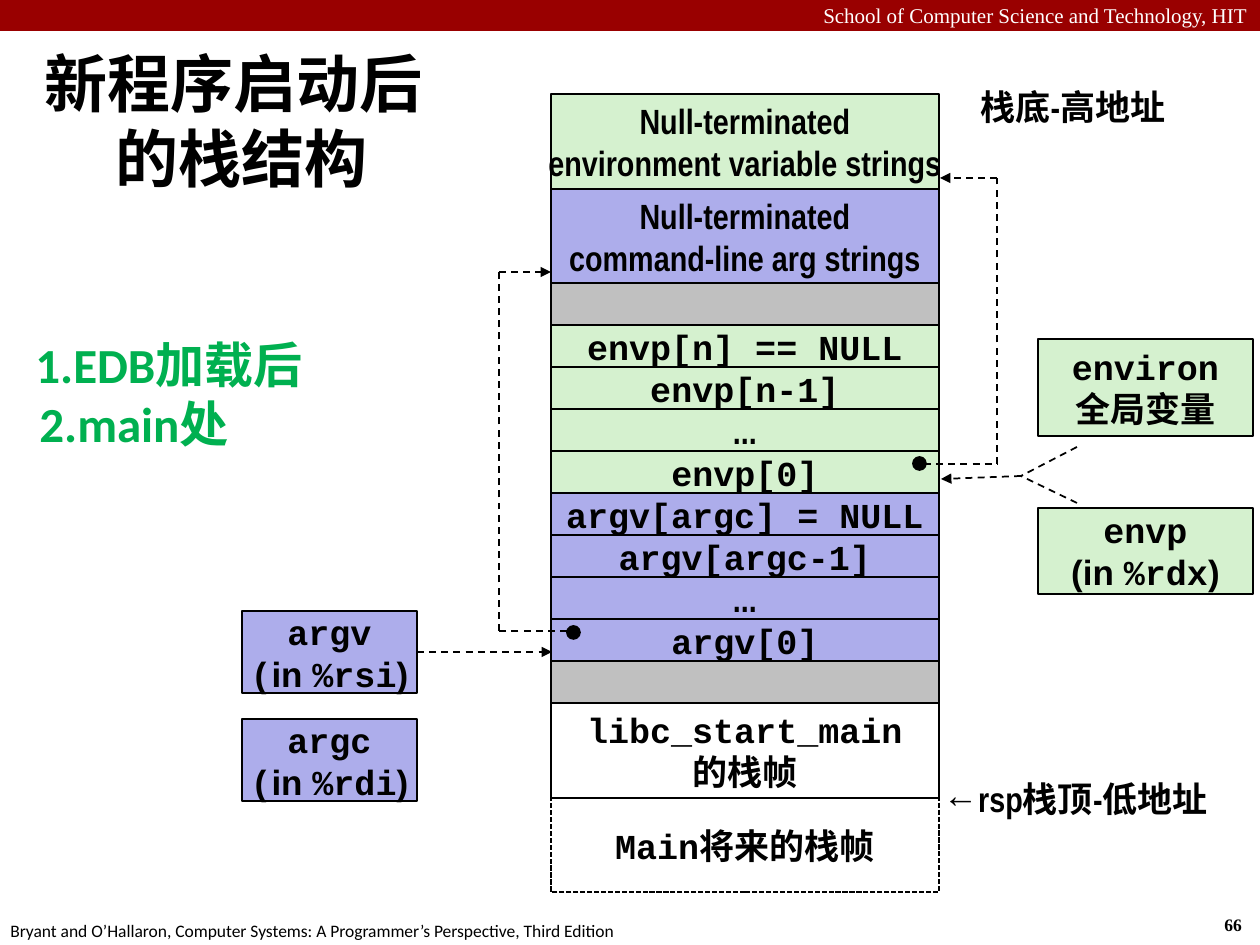
"""Build a slide that shows the stack layout of a newly started program."""
from lxml import etree
from pptx import Presentation, util as u
from pptx.dml.color import RGBColor
from pptx.enum import dml, shapes, text
from pptx.oxml.ns import qn

PX = 914400 / 126
THEME = {
    "red": "990000", "white": "FFFFFF", "black": "000000", "green": "D5F1CF",
    "violet": "ADADEB", "gray": "C0C0C0", "note": "00B050",
    "title": 36, "note_size": 28, "label": 20, "header": 12, "footer": 10,
}
MONO, SANS, NARROW, BODY, SERIF = (
    "Courier New", "Arial", "Arial Narrow", "Calibri", "Times New Roman")
CENTER, LEFT, RIGHT = text.PP_ALIGN.CENTER, text.PP_ALIGN.LEFT, text.PP_ALIGN.RIGHT

prs = Presentation()
prs.slide_width, prs.slide_height = u.Emu(round(1260 * PX)), u.Emu(round(945 * PX))
s = prs.slides.add_slide(prs.slide_layouts[5])


def write(sp, lines, size="label", color="black", bold=True, align=CENTER,
          wrap=False, anchor=text.MSO_ANCHOR.MIDDLE):
    """Fill a shape with paragraphs given as lists of (text, font) runs."""
    tf = sp.text_frame
    tf.auto_size, tf.word_wrap, tf.vertical_anchor = text.MSO_AUTO_SIZE.NONE, wrap, anchor
    for i, line in enumerate(lines):
        p = tf.add_paragraph() if i else tf.paragraphs[0]
        p.alignment = align
        p.text = line[0][0]
        for words, _ in line[1:]:
            p.add_run().text = words
        fonts = [line[0][1]] * (len(p.runs) - len(line)) + [font for _, font in line]
        for r, font in zip(p.runs, fonts):
            r.font.name, r.font.size, r.font.bold = font, u.Pt(THEME[size]), bold
            r.font.color.rgb = RGBColor.from_string(THEME[color])


def box(x, y, w, h, fill, lines=(), kind=shapes.MSO_SHAPE.RECTANGLE, line="black", wrap=False):
    """Add a filled, outlined shape with centred text."""
    sp = s.shapes.add_shape(kind, *(u.Emu(round(v * PX)) for v in (x, y, w, h)))
    sp.shadow.inherit = False
    if fill:
        sp.fill.solid()
        sp.fill.fore_color.rgb = RGBColor.from_string(THEME[fill])
    else:
        sp.fill.background()
    sp.line.color.rgb = RGBColor.from_string(THEME[line])
    sp.line.width = u.Pt(1)
    write(sp, lines, wrap=wrap)
    return sp


header = box(0, 0, 1260, 31, "red")
header.line.fill.background()

title = s.shapes.title
title.left, title.top, title.width, title.height = (
    u.Emu(round(v * PX)) for v in (9, 40, 450, 160))
write(title, [[("新程序启动后的栈结构", BODY)]], "title", wrap=True)

TOP, MIDDLE = text.MSO_ANCHOR.TOP, text.MSO_ANCHOR.MIDDLE
labels = [
    (0, -4, 1260, 38, "School of Computer Science and Technology, HIT", SERIF,
     "header", "white", False, RIGHT, True, TOP),
    (1212, 908, 47, 34, "66", SERIF, "footer", "black", True, LEFT, False, TOP),
    (-2, 914, 640, 34,
     "Bryant and O’Hallaron, Computer Systems: A Programmer’s Perspective, Third Edition",
     BODY, "footer", "black", False, LEFT, False, TOP),
    (951, 79, 244, 55, "栈底-高地址", NARROW, "label", "black", True, CENTER, True, MIDDLE),
    (930, 750, 291, 98, "←rsp栈顶-低地址", NARROW, "label", "black", True, CENTER, True, MIDDLE),
    (11, 323, 347, 141, "1.EDB加载后\v2.main处", BODY,
     "note_size", "note", True, LEFT, True, MIDDLE),
]
for x, y, w, h, words, font, *style in labels:
    label = s.shapes.add_textbox(*(u.Emu(round(v * PX)) for v in (x, y, w, h)))
    write(label, [[(words, font)]], *style)

for sp, margin, indent in ((title, 16, -16), (label, 16, -4)):
    pPr = sp.text_frame.paragraphs[0]._p.get_or_add_pPr()
    pPr.set("marL", str(round(margin * PX)))
    pPr.set("indent", str(round(indent * PX)))

stack = [
    (95, "green", NARROW, ["Null-terminated", "environment variable strings"]),
    (94, "violet", NARROW, ["Null-terminated", "command-line arg strings"]),
    (42, "gray", MONO, []),
    (42, "green", MONO, ["envp[n] == NULL"]),
    (42, "green", MONO, ["envp[n-1]"]),
    (42, "green", NARROW, ["..."]),
    (42, "green", MONO, ["envp[0]"]),
    (42, "violet", MONO, ["argv[argc] = NULL"]),
    (42, "violet", MONO, ["argv[argc-1]"]),
    (42, "violet", NARROW, ["..."]),
    (42, "violet", MONO, ["argv[0]"]),
    (42, "gray", MONO, []),
    (95, None, MONO, ["libc_start_main", "的栈帧"]),
    (94, None, MONO, ["Main将来的栈帧"]),
]
y = 94
for h, fill, font, lines in stack:
    frame = box(551, y, 388, h, fill, [[(words, font)] for words in lines])
    y += h
frame.line.dash_style = dml.MSO_LINE.SQUARE_DOT

box(1038, 339, 215, 97, "green", [[("environ", MONO)], [("全局变量", SANS)]], wrap=True)
box(1038, 508, 215, 86, "green",
    [[("envp", MONO)], [("(in ", SANS), ("%rdx", MONO), (")", SANS)]], wrap=True)
registers = {}
for name, register, y in (("argv", "%rsi", 611), ("argc", "%rdi", 719)):
    registers[name] = box(242, y, 175, 82, "violet", [
        [(name, MONO)], [("(", MONO), ("in ", SANS), (register, MONO), (")", SANS)]])

for x, y in ((567, 626), (913, 457)):
    box(x, y, 13, 13, "black", kind=shapes.MSO_SHAPE.OVAL)

pointers = [
    [(417, 652), (552, 652)],
    [(567, 631), (499, 631), (499, 272), (551, 272)],
    [(924, 464), (997, 464), (997, 178), (940, 178)],
    [(1077, 503), (1021, 476), (941, 479)],
    [(1077, 447), (1021, 476)],
]
for points in pointers:
    for start, end in zip(points, points[1:]):
        c = s.shapes.add_connector(
            shapes.MSO_CONNECTOR.STRAIGHT, *(u.Emu(round(v * PX)) for v in start + end))
        c.line.color.rgb = RGBColor.from_string(THEME["black"])
        c.line.width, c.line.dash_style = u.Pt(1), dml.MSO_LINE.DASH
        if end == points[-1] and end != (1021, 476):
            etree.SubElement(c.line._get_or_add_ln(), qn("a:tailEnd"), type="triangle")
        if start == (417, 652):
            c.begin_connect(registers["argv"], 3)
        etree.SubElement(c._element.spPr, qn("a:effectLst"))

prs.save("out.pptx")
